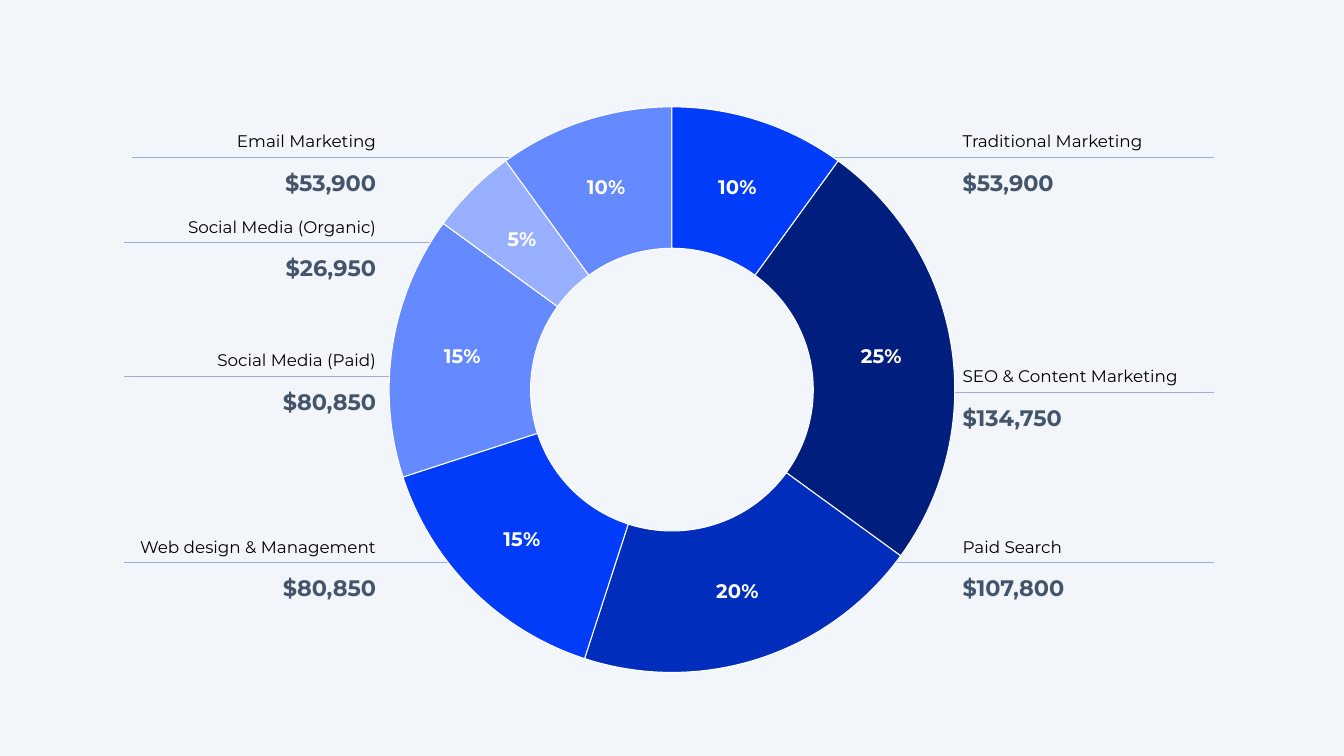
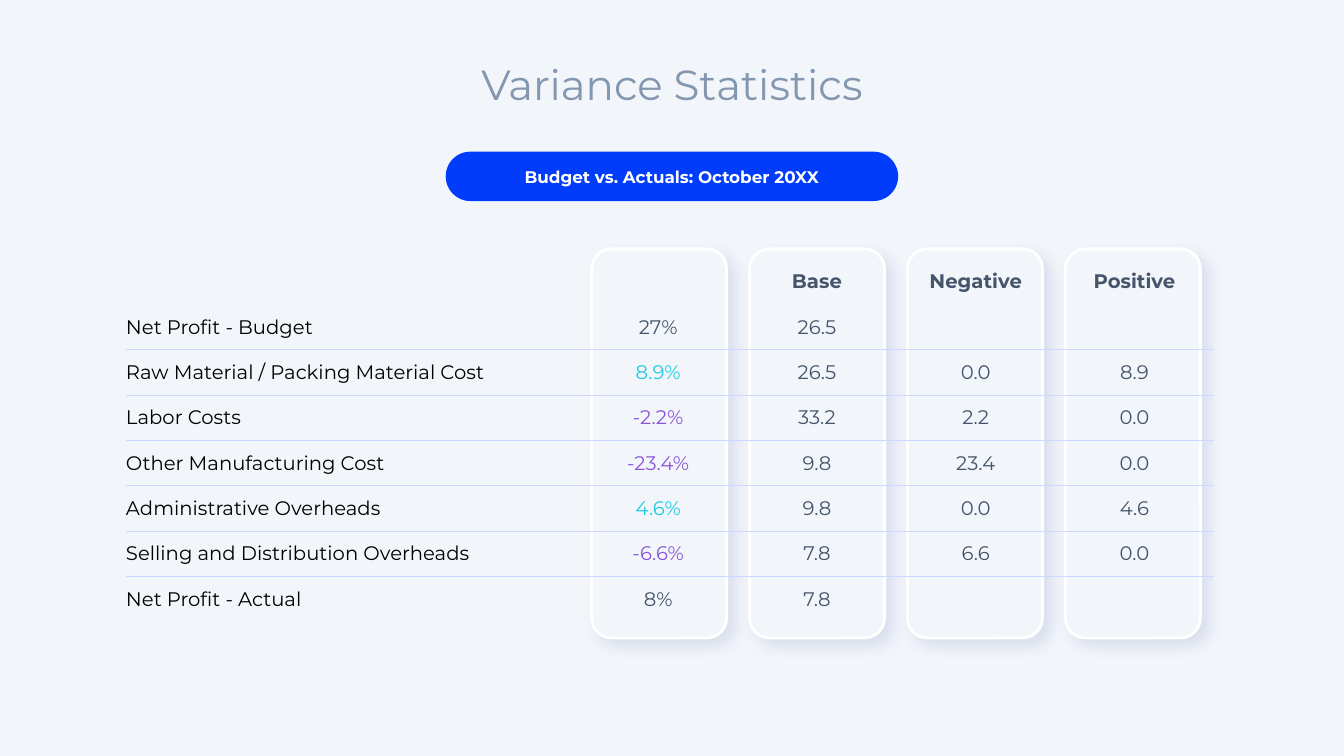
from lxml import etree
from pptx import Presentation
from pptx import util as u
from pptx.chart import data as chart_data
from pptx.dml.color import RGBColor
from pptx.enum import chart as charts, shapes, text
from pptx.oxml import parse_xml
from pptx.oxml.ns import nsdecls, qn
from pptx.util import Pt

# Shared look
FONT = "Montserrat"
BACKGROUND = RGBColor(0xF2, 0xF5, 0xFA)
WHITE = RGBColor(0xFF, 0xFF, 0xFF)
BLACK = RGBColor(0x00, 0x00, 0x00)
SLATE = RGBColor(0x44, 0x54, 0x6A)
TITLE_GREY = RGBColor(0x84, 0x97, 0xB0)
LEADER = RGBColor(0x99, 0xB1, 0xD8)
RULE = RGBColor(0xCC, 0xD8, 0xFF)
NAVY = RGBColor(0x00, 0x1E, 0x7E)
ROYAL = RGBColor(0x01, 0x2D, 0xBC)
BLUE = RGBColor(0x01, 0x3C, 0xFB)
SKY = RGBColor(0x65, 0x89, 0xFE)
PALE = RGBColor(0x98, 0xB0, 0xFF)
CYAN = RGBColor(0x1F, 0xCB, 0xE1)
PURPLE = RGBColor(0x89, 0x56, 0xD6)

LEFT, CENTER, RIGHT = text.PP_ALIGN.LEFT, text.PP_ALIGN.CENTER, text.PP_ALIGN.RIGHT

# Budget slide: shares clockwise from the SEO slice
SHARES = [(25, NAVY), (20, ROYAL), (15, BLUE), (15, SKY), (5, PALE), (10, SKY), (10, BLUE)]

# Label, amount, height of the leader line, its outer and inner end
LEFT_CALLOUTS = [
    ("Email Marketing", "$53,900", 112.3, 94.3, 444.2),
    ("Social Media (Organic)", "$26,950", 173.4, 88.6, 355),
    ("Social Media (Paid)", "$80,850", 268.6, 88.6, 332.6),
    ("Web design & Management", "$80,850", 401.8, 88.6, 366.5),
]
RIGHT_CALLOUTS = [
    ("Traditional Marketing", "$53,900", 112.3, 866.9, 509.8),
    ("SEO & Content Marketing", "$134,750", 280.1, 866.9, 622.1),
    ("Paid Search", "$107,800", 401.8, 866.9, 552.2),
]
LABEL_WIDTH = 229
LEFT_LABELS_X = 39.6
RIGHT_LABELS_X = 687.6

# Variance slide
VARIANCE = [
    ("", "", "Base", "Negative", "Positive"),
    ("Net Profit - Budget", "27%", "26.5", "", ""),
    ("Raw Material / Packing Material Cost", "8.9%", "26.5", "0.0", "8.9"),
    ("Labor Costs", "-2.2%", "33.2", "2.2", "0.0"),
    ("Other Manufacturing Cost", "-23.4%", "9.8", "23.4", "0.0"),
    ("Administrative Overheads", "4.6%", "9.8", "0.0", "4.6"),
    ("Selling and Distribution Overheads", "-6.6%", "7.8", "6.6", "0.0"),
    ("Net Profit - Actual", "8%", "7.8", "", ""),
]
ROW_HEIGHT = 32.4
NAME_WIDTH, FIGURE_WIDTH = 323.5, 113.4
PANEL_X, PANEL_STEP = 422.6, 112.8
NO_STYLE = "{2D5ABB26-0587-4C30-8999-92F81FD0307C}"


def write(frame, words, size, color, bold=False, align=LEFT, spacing=None):
    paragraph = frame.paragraphs[0]
    paragraph.alignment = align
    if spacing:
        paragraph.line_spacing = spacing
    run = paragraph.add_run()
    run.text = words
    run.font.name, run.font.size, run.font.bold = FONT, Pt(size), bold
    run.font.color.rgb = color


def add_label(slide, box, words, size, color, bold=False, align=LEFT, spacing=None,
              margins=(0, 0), wrap=True):
    frame = slide.shapes.add_textbox(*map(Pt, box)).text_frame
    frame.word_wrap = wrap
    frame.auto_size = text.MSO_AUTO_SIZE.SHAPE_TO_FIT_TEXT
    frame.margin_left, frame.margin_right = map(Pt, margins)
    write(frame, words, size, color, bold, align, spacing)


def add_leader(slide, start, end, y):
    leader = slide.shapes.add_connector(
        shapes.MSO_CONNECTOR.STRAIGHT, Pt(start), Pt(y), Pt(end), Pt(y))
    leader.line.color.rgb = LEADER
    leader.line.width = Pt(0.5)
    etree.SubElement(leader.element.spPr, qn("a:effectLst"))


def add_rounded(slide, box, fill, corner):
    rounded = slide.shapes.add_shape(shapes.MSO_SHAPE.ROUNDED_RECTANGLE, *map(Pt, box))
    rounded.adjustments[0] = corner
    rounded.shadow.inherit = False
    rounded.fill.solid()
    rounded.fill.fore_color.rgb = fill
    rounded.line.fill.background()
    return rounded


def add_panel(slide, x):
    panel = add_rounded(slide, (x, 177.8, 96.5, 277.9), BACKGROUND, 0.147)
    panel.line.color.rgb = WHITE
    panel.line.width = Pt(2)
    # Soft shadow to the lower right
    panel.element.spPr.find(qn("a:effectLst")).append(parse_xml(
        f'<a:outerShdw {nsdecls("a")} blurRad="{Pt(11)}" dist="{Pt(7)}" dir="2700000" '
        f'algn="tl" rotWithShape="0"><a:srgbClr val="{NAVY}"><a:alpha val="10000"/>'
        '</a:srgbClr></a:outerShdw>'))


def add_ring(slide):
    shares = chart_data.CategoryChartData()
    shares.categories = [str(i + 1) for i in range(len(SHARES))]
    shares.add_series("Series 1", [share for share, _ in SHARES])
    ring = slide.shapes.add_chart(
        charts.XL_CHART_TYPE.DOUGHNUT, Pt(239.5), Pt(67), Pt(481), Pt(427), shares).chart
    ring.has_legend = ring.has_title = False
    ring.font.name, ring.font.size, ring.font.color.rgb = "Calibri", Pt(10), BLACK

    # Slices and their percentages
    plot = ring.plots[0]
    plot.vary_by_categories = True
    for i, (_, color) in enumerate(SHARES):
        look = plot.series[0].points[i].format
        look.fill.solid()
        look.fill.fore_color.rgb = color
        look.line.color.rgb = WHITE
        look.line.width = Pt(0.75)
    plot.has_data_labels = True
    labels = plot.data_labels
    labels.show_percentage, labels.show_value = True, False
    labels.number_format, labels.number_format_is_linked = "0%", False
    labels.font.name, labels.font.size, labels.font.bold = FONT, Pt(14), True
    labels.font.color.rgb = WHITE

    # Hole, first angle, ring size and clear background
    root = ring.element
    for tag, value in (("c:firstSliceAng", "36"), ("c:holeSize", "75")):
        next(root.iter(qn(tag))).set("val", value)
    area = next(root.iter(qn("c:plotArea")))
    for layout in area.findall(qn("c:layout")):
        area.remove(layout)
    area.insert(0, parse_xml(
        f'<c:layout {nsdecls("c")}><c:manualLayout><c:layoutTarget val="inner"/>'
        '<c:xMode val="edge"/><c:yMode val="edge"/><c:x val="0.08"/><c:y val="0.02"/>'
        '<c:w val="0.84"/><c:h val="0.95"/></c:manualLayout></c:layout>'))
    root.find(qn("c:chart")).addnext(parse_xml(
        f'<c:spPr {nsdecls("c", "a")}><a:noFill/><a:ln><a:noFill/></a:ln></c:spPr>'))


def set_borders(cell, ruled_above, ruled_below):
    sides = (("L", False), ("R", False), ("T", ruled_above), ("B", ruled_below))
    for place, (side, ruled) in enumerate(sides):
        paint = (f'<a:solidFill><a:srgbClr val="{RULE}"/></a:solidFill>'
                 if ruled else "<a:noFill/>")
        cell._tc.get_or_add_tcPr().insert(place, parse_xml(
            f'<a:ln{side} {nsdecls("a")} w="{Pt(0.75)}">{paint}</a:ln{side}>'))


def figure_color(row, column, words):
    if column == 0:
        return BLACK
    if column == 1 and 1 < row < len(VARIANCE) - 1:
        return PURPLE if words.startswith("-") else CYAN
    return SLATE


def add_variance_table(slide):
    rows, columns = len(VARIANCE), len(VARIANCE[0])
    frame = slide.shapes.add_table(
        rows, columns, Pt(90), Pt(185), Pt(NAME_WIDTH + 4 * FIGURE_WIDTH),
        Pt(rows * ROW_HEIGHT))
    table = frame.table
    table.first_row = table.horz_banding = False
    next(frame.element.iter(qn("a:tableStyleId"))).text = NO_STYLE
    for i, column in enumerate(table.columns):
        column.width = Pt(FIGURE_WIDTH if i else NAME_WIDTH)
    for r, entries in enumerate(VARIANCE):
        table.rows[r].height = Pt(ROW_HEIGHT)
        for c, words in enumerate(entries):
            cell = table.cell(r, c)
            cell.fill.background()
            cell.vertical_anchor = text.MSO_ANCHOR.MIDDLE
            cell.margin_left, cell.margin_right = Pt(8.6 if c else 0), Pt(8.6)
            set_borders(cell, r > 1, 0 < r < rows - 1)
            if words:
                write(cell.text_frame, words, 14, figure_color(r, c, words),
                      bold=r == 0, align=CENTER if c else LEFT)


def build_budget(slide):
    # Leader lines run behind the ring
    for _, _, y, outer, inner in LEFT_CALLOUTS + RIGHT_CALLOUTS:
        add_leader(slide, outer, inner, y)
    add_ring(slide)
    # Name above each line, amount below
    for callouts, x, align in ((LEFT_CALLOUTS, LEFT_LABELS_X, RIGHT),
                               (RIGHT_CALLOUTS, RIGHT_LABELS_X, LEFT)):
        for name, amount, y, _, _ in callouts:
            add_label(slide, (x, y - 25.2, LABEL_WIDTH, 23), name, 12, BLACK,
                      align=align, spacing=1.2)
            add_label(slide, (x, y + 1, LABEL_WIDTH, 29), amount, 16, SLATE,
                      bold=True, align=align, spacing=1.2)


def build_variance(slide):
    # Column panels, last one at the back
    for i in reversed(range(4)):
        add_panel(slide, PANEL_X + i * PANEL_STEP)
    # Title and period
    add_label(slide, (334, 38.2, 292, 44), "Variance Statistics", 30, TITLE_GREY,
              align=CENTER, margins=(7.2, 7.2), wrap=False)
    period = add_rounded(slide, (318.4, 108.3, 323.2, 35.3), BLUE, 0.5)
    period.text_frame.vertical_anchor = text.MSO_ANCHOR.MIDDLE
    write(period.text_frame, "Budget vs. Actuals: October 20XX", 12, WHITE,
          bold=True, align=CENTER)
    add_variance_table(slide)


def main():
    deck = Presentation()
    deck.slide_width, deck.slide_height = u.Pt(960), u.Pt(540)
    backdrop = deck.slide_master.background.fill
    backdrop.solid()
    backdrop.fore_color.rgb = BACKGROUND
    for build in (build_budget, build_variance):
        build(deck.slides.add_slide(deck.slide_layouts[6]))
    deck.save("out.pptx")


if __name__ == "__main__":
    main()
